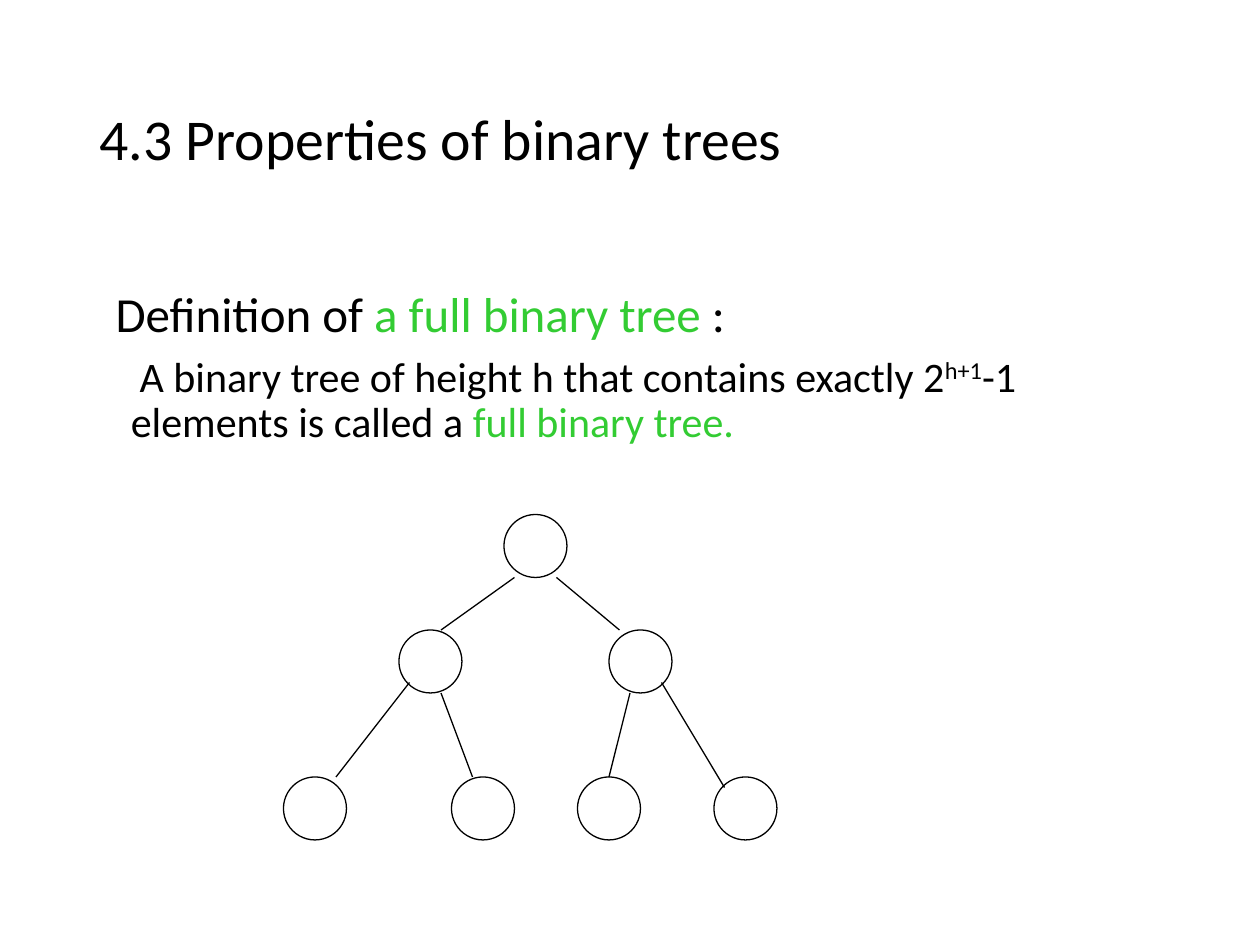
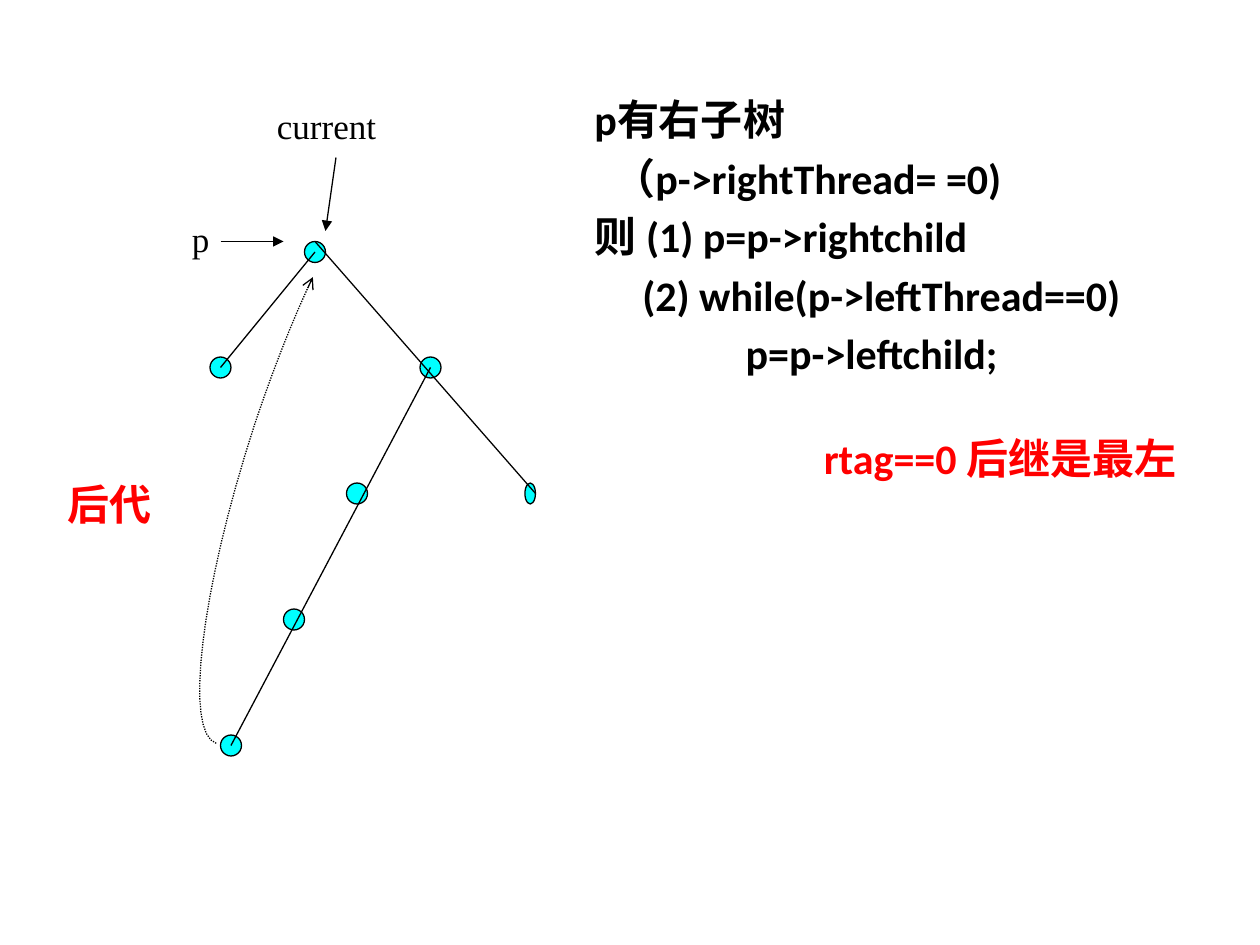
import pptx
import pptx.util
import pptx.dml.color
import pptx.enum.dml
import pptx.enum.shapes
import pptx.enum.text
import pptx.oxml
import pptx.oxml.ns
from lxml import etree

BLACK = pptx.dml.color.RGBColor(0x00, 0x00, 0x00)
GREEN = pptx.dml.color.RGBColor(0x33, 0xCC, 0x33)
RED = pptx.dml.color.RGBColor(0xFF, 0x00, 0x00)
CYAN = pptx.dml.color.RGBColor(0x00, 0xFF, 0xFF)
BODY_FONT = "Calibri"
LABEL_FONT = "Times New Roman"
HANG = 0.19
TITLE_ONLY, BLANK = 5, 6


def grid(*steps):
    """Turn steps of a twelfth of an inch into lengths."""
    return [pptx.util.Emu(round(step * pptx.util.Inches(1) / 12)) for step in steps]


def add_run(paragraph, text, size, color=BLACK, font=BODY_FONT, bold=False, superscript=False):
    run = paragraph.add_run()
    run.text = text
    run.font.name = font
    run.font.size = pptx.util.Pt(size)
    run.font.bold = bold
    run.font.color.rgb = color
    if superscript:
        run.font._element.set("baseline", "30000")


def format_paragraph(paragraph, first_line, space_before=0):
    """Indent the first line from the text edge and later lines by HANG, in inches."""
    properties = paragraph._p.get_or_add_pPr()
    properties.set("marL", str(pptx.util.Inches(HANG)))
    properties.set("indent", str(pptx.util.Inches(first_line - HANG)))
    paragraph.line_spacing = 0.9
    paragraph.space_before = pptx.util.Pt(space_before)


def add_body(slide, box, paragraphs):
    """Add paragraphs given as (first line indent, space before, runs)."""
    frame = slide.shapes.add_textbox(*grid(*box)).text_frame
    frame.word_wrap = True
    for index, (first_line, space_before, runs) in enumerate(paragraphs):
        paragraph = frame.add_paragraph() if index else frame.paragraphs[0]
        format_paragraph(paragraph, first_line, space_before)
        for text, style in runs:
            add_run(paragraph, text, **style)


def set_title(slide, text):
    title = slide.shapes.title
    title.left, title.top, title.width, title.height = grid(8.3, 4.8, 103.5, 17.4)
    title.text_frame.vertical_anchor = pptx.enum.text.MSO_ANCHOR.MIDDLE
    paragraph = title.text_frame.paragraphs[0]
    paragraph.alignment = pptx.enum.text.PP_ALIGN.LEFT
    paragraph.line_spacing = 0.9
    add_run(paragraph, text, 33)


def add_label(slide, text, center_x, center_y, width):
    height = 5.3
    box = grid(center_x - width / 2, center_y - height / 2, width, height)
    frame = slide.shapes.add_textbox(*box).text_frame
    frame.word_wrap = False
    frame.vertical_anchor = pptx.enum.text.MSO_ANCHOR.MIDDLE
    frame.paragraphs[0].alignment = pptx.enum.text.PP_ALIGN.CENTER
    add_run(frame.paragraphs[0], text, 20, font=LABEL_FONT)


def draw_line(line):
    line.color.rgb = BLACK
    line.width = pptx.util.Pt(0.75)


def add_arrowhead(shape, kind):
    etree.SubElement(shape.line._get_or_add_ln(), pptx.oxml.ns.qn("a:tailEnd"), type=kind)


def add_node(slide, center, width, height, fill=None):
    x, y = center
    node = slide.shapes.add_shape(pptx.enum.shapes.MSO_SHAPE.OVAL,
                                  *grid(x - width / 2, y - height / 2, width, height))
    node.shadow.inherit = False
    if fill is None:
        node.fill.background()
    else:
        node.fill.solid()
        node.fill.fore_color.rgb = fill
    draw_line(node.line)


def add_edge(slide, start, end, arrowhead=None):
    edge = slide.shapes.add_connector(pptx.enum.shapes.MSO_CONNECTOR.STRAIGHT,
                                      *grid(*start, *end))
    draw_line(edge.line)
    if arrowhead:
        add_arrowhead(edge, arrowhead)
    etree.SubElement(edge._element.spPr, pptx.oxml.ns.qn("a:effectLst"))


def bezier_points(a, b, c, d, steps=16):
    for step in range(1, steps + 1):
        t = step / steps
        u = 1 - t
        yield grid(*(u**3 * p + 3 * u * u * t * q + 3 * u * t * t * r + t**3 * s
                     for p, q, r, s in zip(a, b, c, d)))


def add_thread(slide, controls):
    """Draw a dotted arrow along joined cubic curves."""
    points = []
    for first in range(0, len(controls) - 1, 3):
        points += bezier_points(*controls[first:first + 4])
    builder = slide.shapes.build_freeform(*grid(*controls[0]))
    builder.add_line_segments(points, close=False)
    thread = builder.convert_to_shape()
    thread.shadow.inherit = False
    thread.fill.background()
    draw_line(thread.line)
    thread.line.dash_style = pptx.enum.dml.MSO_LINE.ROUND_DOT
    add_arrowhead(thread, "arrow")


def build_full_tree(slide):
    set_title(slide, "4.3 Properties of binary trees")
    heading, text = {"size": 28}, {"size": 24}
    add_body(slide, (9, 27, 102, 61), [
        (0.07, 0, [("Definition of ", heading),
                   ("a full binary tree", {**heading, "color": GREEN}),
                   (" :", heading)]),
        (0.26, 7.5, [("A binary tree of height h that contains exactly 2", text),
                     ("h+1", {**text, "superscript": True}),
                     ("-1 elements is called a ", text),
                     ("full binary tree.", {**text, "color": GREEN})]),
    ])
    levels = {52: [51], 63: [41, 61], 77: [30, 46, 58, 71]}
    for y, centers in levels.items():
        for x in centers:
            add_node(slide, (x, y), 6, 6)
    for start, end in [((49, 55), (42, 60)), ((53, 55), (59, 60)),
                       ((39, 65), (32, 74)), ((42, 66), (45, 74)),
                       ((60, 66), (58, 74)), ((63, 65), (69, 75))]:
        add_edge(slide, start, end)


def build_threaded_tree(slide):
    code = {"size": 24, "bold": True}
    steps = [(4.37, "p有右子树"), (4.52, "（p->rightThread= =0)"),
             (4.37, "则 (1) p=p->rightchild"),
             (4.75, "(2) while(p->leftThread==0)"), (5.57, "p=p->leftchild;")]
    paragraphs = [(indent, 7.5 if index else 0, [(text, code)])
                  for index, (indent, text) in enumerate(steps)]
    paragraphs.append((6.19, 34, [("rtag==0 后继是最左后代", {**code, "color": RED})]))
    add_body(slide, (3, 8.9, 114, 60), paragraphs)

    root, left, right = (30, 24), (21, 35), (41, 35)
    leftmost = (22, 71)
    for center in [root, left, right, (34, 47), (28, 59), leftmost]:
        add_node(slide, center, 2, 2, CYAN)
    add_node(slide, (50.5, 47), 1, 2, CYAN)
    add_edge(slide, (30, 23), (51, 47))
    add_edge(slide, root, left)
    add_edge(slide, right, leftmost)
    add_thread(slide, [(20.6, 70.8), (17.5, 69.8), (19.1, 56.3), (24.2, 40.6),
                       (25.9, 35.5), (27.8, 30.6), (29.8, 26.4)])
    add_edge(slide, (21, 23), (27, 23), "triangle")
    add_edge(slide, (32, 15), (31, 22), "triangle")
    add_label(slide, "current", 31.1, 12, 11.9)
    add_label(slide, "p", 19.1, 22.7, 4.1)


def main():
    deck = pptx.Presentation()
    deck.slide_width, deck.slide_height = grid(120, 90)
    for layout, build in [(TITLE_ONLY, build_full_tree), (BLANK, build_threaded_tree)]:
        build(deck.slides.add_slide(deck.slide_layouts[layout]))
    deck.save("out.pptx")


if __name__ == "__main__":
    main()
